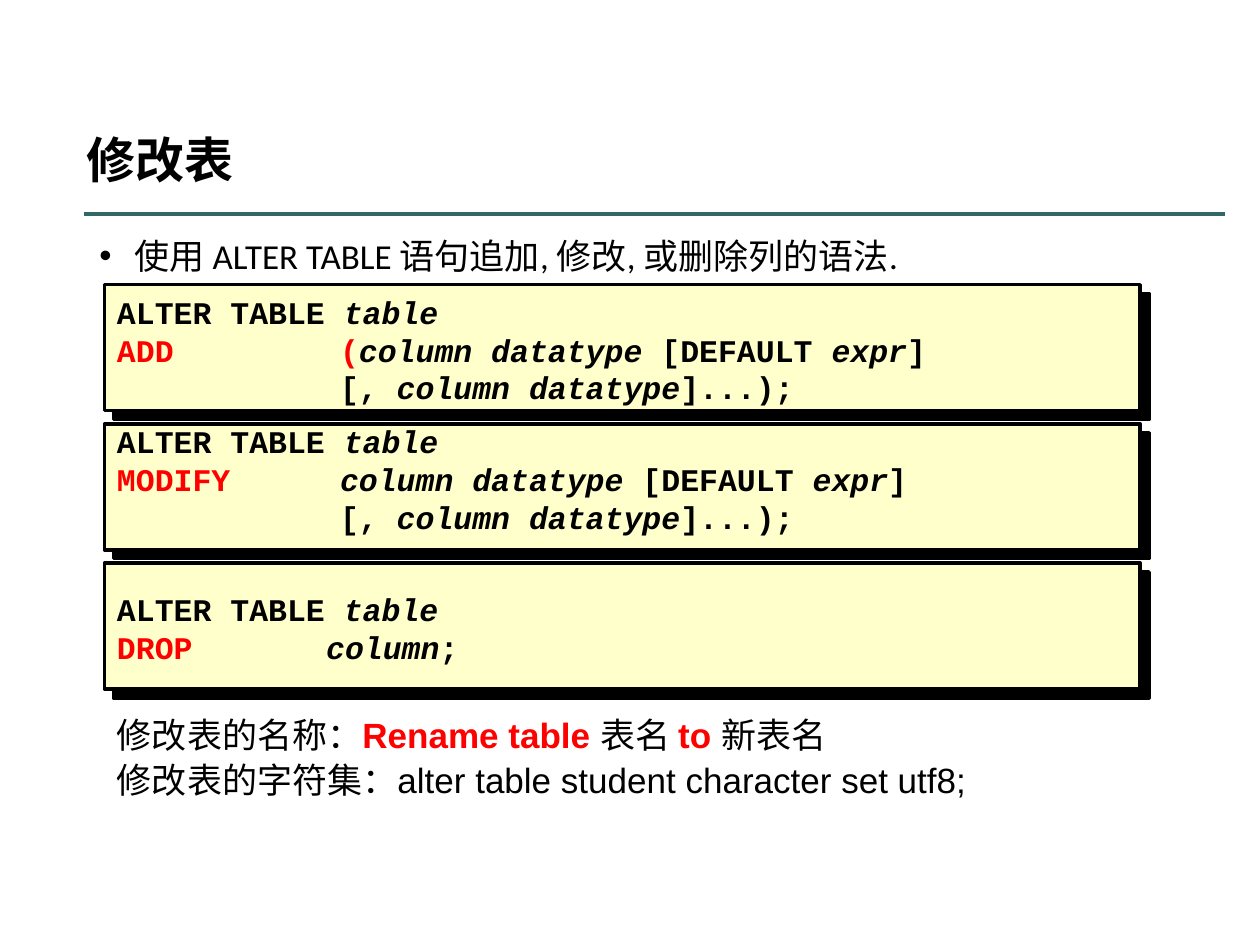
from lxml.etree import SubElement
from pptx import Presentation
from pptx.dml.color import RGBColor as RGB
from pptx.enum.shapes import MSO_CONNECTOR as CONN, MSO_SHAPE as SHAPE
from pptx.enum.text import MSO_ANCHOR as ANCHOR, PP_ALIGN as ALIGN
from pptx.oxml.ns import qn
from pptx.util import Inches, Pt

COLORS = {"ink": "000000", "key": "FF0000", "rule": "336666", "panel": "FFFFCC"}
COLS, ROWS = 100, 75  # grid cells across and down the slide

# Run styles: font values that differ from the text's base font
STYLES = {
    "": {},
    "var": {"italic": True},
    "key": {"bold": True, "color": "key"},
}


class SlideBuilder:
    def __init__(self, prs):
        self.cell_w = prs.slide_width / COLS
        self.cell_h = prs.slide_height / ROWS
        self.s = prs.slides.add_slide(prs.slide_layouts[6])

    def box(self, x, y, w, h):
        return [round(v * c) for v, c in
                zip((x, y, w, h), (self.cell_w, self.cell_h) * 2)]

    def color(self, name):
        return RGB.from_string(COLORS[name])

    def rule(self, x, y, w):
        left, top, width, _ = self.box(x, y, w, 0)
        ln = self.s.shapes.add_connector(CONN.STRAIGHT, left, top, left + width, top)
        ln.line.color.rgb, ln.line.width = self.color("rule"), Pt(2)
        SubElement(ln._element.spPr, qn("a:effectLst"))

    def panel(self, *area):
        sp = self.s.shapes.add_shape(SHAPE.RECTANGLE, *self.box(*area))
        sp.fill.solid()
        sp.fill.fore_color.rgb = self.color("panel")
        sp.line.color.rgb, sp.line.width = self.color("ink"), Pt(2)
        # Hard shadow towards the lower right
        sp.shadow.inherit = False
        effects = sp._element.spPr.find(qn("a:effectLst"))
        shadow = SubElement(effects, qn("a:outerShdw"), blurRad="0",
                            dist=str(Pt(7.1)), dir="2700000", algn="ctr", rotWithShape="0")
        SubElement(shadow, qn("a:srgbClr"), val=COLORS["ink"])

    def text(self, area, lines, font, anchor=ANCHOR.TOP, spacing=None,
             gap=0, bullet=None, tab=None):
        tf = self.s.shapes.add_textbox(*self.box(*area)).text_frame
        tf.word_wrap, tf.vertical_anchor = True, anchor
        for i, runs in enumerate(lines):
            p = tf.paragraphs[0] if i == 0 else tf.add_paragraph()
            p.alignment = ALIGN.LEFT
            if spacing:
                p.line_spacing = spacing
            if i:
                p.space_before = Pt(gap)
            self.marks(p, bullet, tab)
            for words, style in runs:
                r = p.add_run()
                r.text = words
                values = {"color": "ink", **font, **STYLES[style]}
                r.font.color.rgb = self.color(values.pop("color"))
                for name, value in values.items():
                    setattr(r.font, name, value)

    def marks(self, p, bullet, tab):
        pPr = p._p.get_or_add_pPr()
        if bullet:
            hang = Inches(0.28)
            pPr.set("marL", str(hang))
            pPr.set("indent", str(-hang))
            SubElement(pPr, qn("a:buFont"), typeface="Arial")
            SubElement(pPr, qn("a:buChar"), char=bullet)
        if tab:
            stops = SubElement(pPr, qn("a:tabLst"))
            SubElement(stops, qn("a:tab"), pos=str(round(tab * self.cell_w)), algn="l")


def main():
    prs = Presentation()
    prs.slide_width, prs.slide_height = Inches(10), Inches(7.5)
    b = SlideBuilder(prs)

    # Title and rule
    b.text((5.9, 8.4, 89, 7.1), [[("修改表", "")]],
           {"name": "Calibri", "size": Pt(28), "bold": True}, ANCHOR.BOTTOM, 0.9)
    b.rule(6.7, 17, 90.5)

    # Introduction
    b.text((6.9, 18.6, 85.1, 4.1),
           [[("使用 ALTER TABLE 语句追加, 修改, 或删除列的语法.", "")]],
           {"name": "Calibri", "size": Pt(20)}, spacing=0.85, bullet="•")

    # Syntax panels: code lines, tab stop, upward shift of the text
    head = [("ALTER TABLE ", ""), ("table", "var")]
    column = [("column datatype ", "var"), ("[DEFAULT ", ""), ("expr", "var"), ("]", "")]
    more = [("\t[, ", ""), ("column datatype", "var"), ("]...);", "")]
    panels = [
        ([head, [("ADD\t(", "key")] + column, more], 17.7, 0),
        ([head, [("MODIFY\t", "key")] + column, more], 17.7, 0.8),
        ([head, [("DROP\t", "key"), ("column", "var"), (";", "")]], 16.6, 0),
    ]
    code = {"name": "Courier New", "size": Pt(18), "bold": True}
    for i, (lines, tab, shift) in enumerate(panels):
        top = 22.6 + i * 11.05
        b.panel(8.3, top, 82.2, 10)
        b.text((8.3, top - shift, 79.8, 10.3), lines, code, ANCHOR.MIDDLE, tab=tab)

    # Other changes
    b.text((8.3, 56.5, 82.7, 7.7),
           [[("修改表的名称：", ""), ("Rename table ", "key"), ("表名 ", ""),
             ("to ", "key"), ("新表名", "")],
            [("修改表的字符集：alter table student character set utf8;", "")]],
           {"name": "Arial", "size": Pt(20)}, spacing=0.9, gap=4)

    prs.save("out.pptx")


if __name__ == "__main__":
    main()
